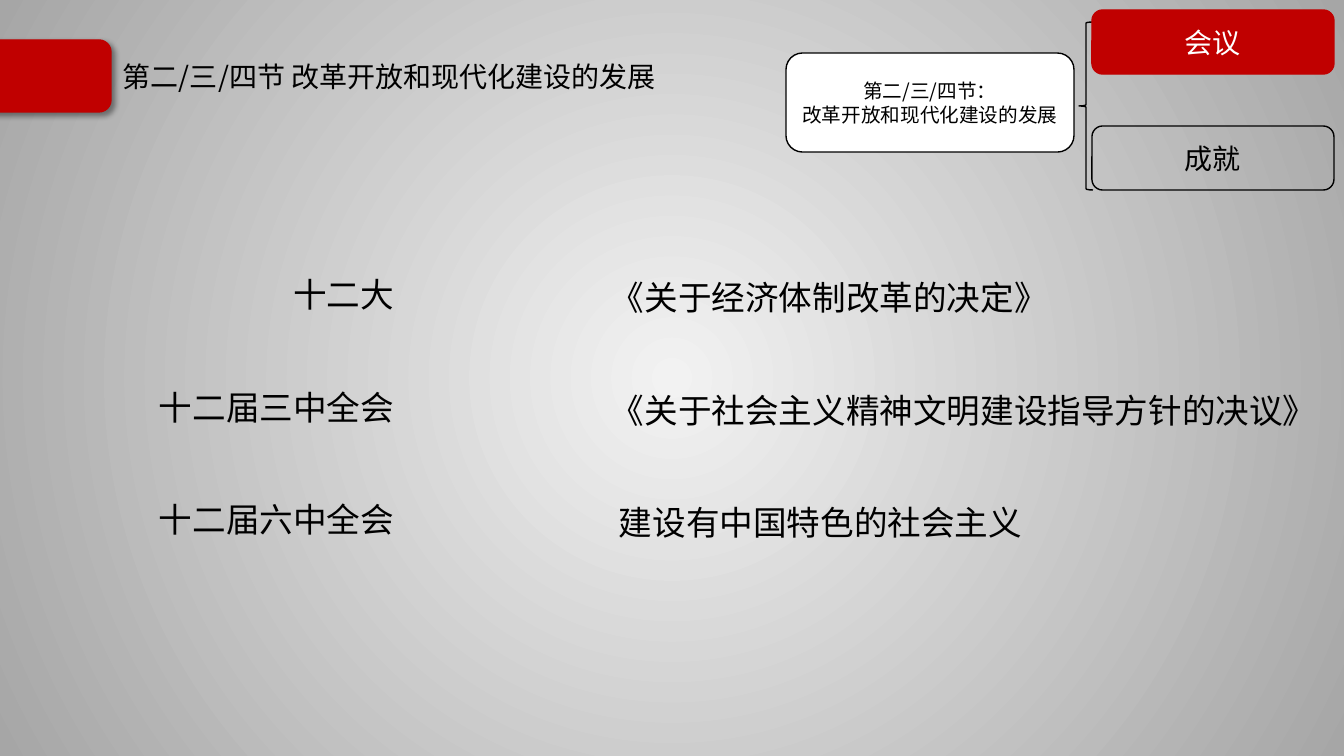
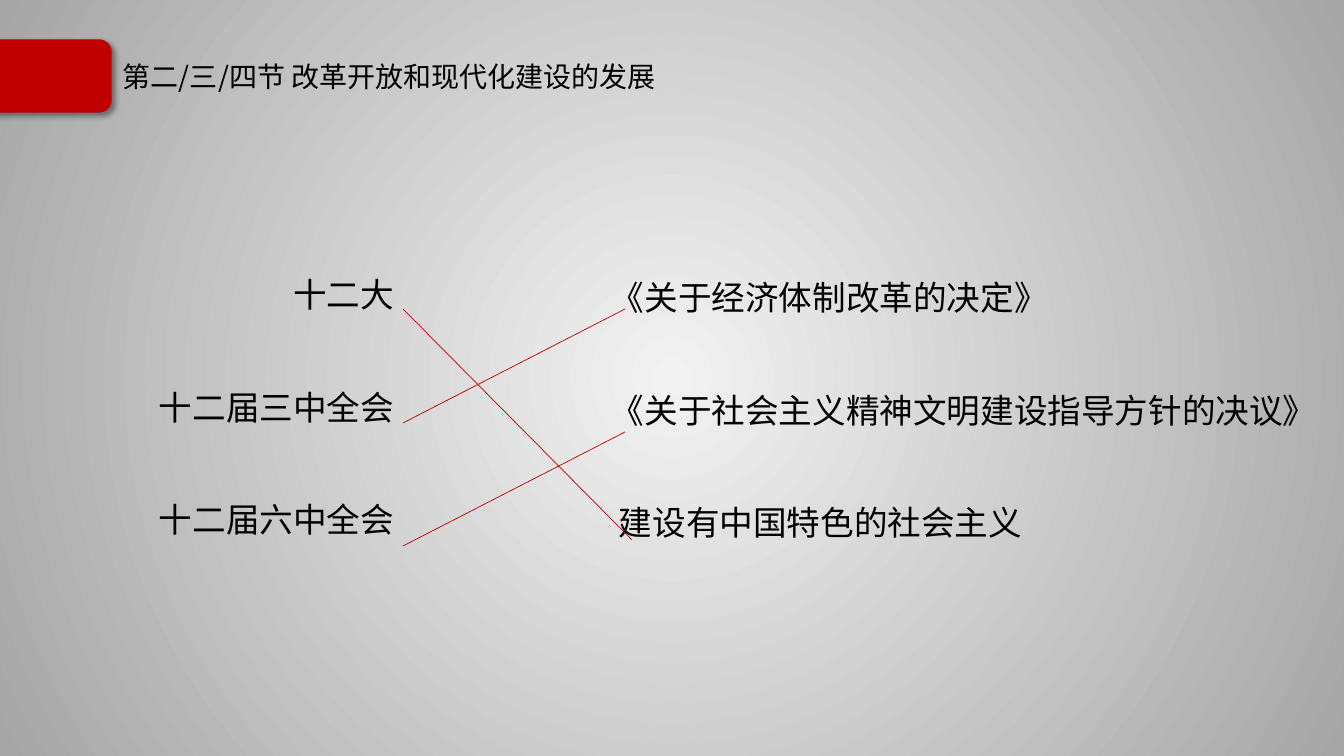
from dataclasses import dataclass

from lxml.etree import SubElement
from pptx import Presentation
from pptx.dml.color import RGBColor
from pptx.enum.shapes import MSO_CONNECTOR, MSO_SHAPE
from pptx.enum.text import MSO_ANCHOR, PP_ALIGN
from pptx.oxml.ns import qn
from pptx.util import Pt

SCALE = 914400 / 100.8  # EMU in one px


@dataclass(frozen=True)
class Theme:
    red: str = "C00000"
    black: str = "000000"
    white: str = "FFFFFF"
    glow: str = "F2F2F2"
    edge: str = "A6A6A6"
    head: str = "Noto Sans CJK JP"
    body: str = "Noto Sans CJK SC"
    small: int = 14
    mid: int = 20
    large: int = 24
    gap: float = 51.6  # points between list rows


T = Theme()
TITLE = "第二/三/四节 改革开放和现代化建设的发展"
# Each row: text, indent in px
EVENTS = [("十二大", 0), ("十二届三中全会", 0), ("十二届六中全会", 0)]
RESULTS = [
    ("《关于经济体制改革的决定》", 0),
    ("《关于社会主义精神文明建设指导方针的决议》", 0),
    ("建设有中国特色的社会主义", 8),
]
LINKS = [
    (403, 309, 632, 540),
    (403, 423, 625, 309),
    (403, 546, 625, 432),
]


def px(n):
    return round(n * SCALE)


def place(*nums):
    return [px(n) for n in nums]


def rgb(code):
    return RGBColor.from_string(code)


def add_run(para, text, size, color=T.black, face=T.body):
    run = para.add_run()
    run.text = text
    font = run.font
    font.size = Pt(size)
    font.color.rgb = rgb(color)
    font.name = face
    SubElement(font._element, qn("a:ea"), typeface=face)


def add_paras(frame, count):
    """Return the first paragraph and as many more as are needed."""
    return [frame.paragraphs[0]] + [frame.add_paragraph() for _ in range(count - 1)]


# Backdrop shared by all slides
def set_back(master):
    fill = master.background.fill
    fill.gradient()
    for stop, code in zip(fill.gradient_stops, (T.glow, T.edge)):
        stop.color.rgb = rgb(code)
    grad = next(master.element.iter(qn("a:gradFill")))
    for line in grad.findall(qn("a:lin")):
        grad.remove(line)
    ring = SubElement(grad, qn("a:path"))
    ring.set("path", "circle")
    SubElement(ring, qn("a:fillToRect"), l="50000", t="50000", r="50000", b="50000")


def add_title(slide, width):
    frame = slide.shapes.add_textbox(*place(113, 49, width, 59)).text_frame
    frame.word_wrap = True
    frame.vertical_anchor = MSO_ANCHOR.MIDDLE
    para = frame.paragraphs[0]
    para.line_spacing = 0.9
    add_run(para, TITLE, T.mid, face=T.head)


def add_list(slide, rows, spot, align):
    frame = slide.shapes.add_textbox(*place(*spot)).text_frame
    frame.word_wrap = True
    for i, (para, (text, indent)) in enumerate(zip(add_paras(frame, len(rows)), rows)):
        para.alignment = align
        if i:
            para.space_before = Pt(T.gap)
        if indent:
            para._p.get_or_add_pPr().set("marL", str(px(indent)))
        add_run(para, text, T.large)


def add_form(slide, kind, spot, fill=None, line=T.black):
    form = slide.shapes.add_shape(kind, *place(*spot))
    form.shadow.inherit = False
    if fill:
        form.fill.solid()
        form.fill.fore_color.rgb = rgb(fill)
    else:
        form.fill.background()
    form.line.color.rgb = rgb(line)
    form.line.width = Pt(1)
    return form


def add_box(slide, spot, lines, size, color=T.black, fill=None, line=T.black):
    box = add_form(slide, MSO_SHAPE.ROUNDED_RECTANGLE, spot, fill, line)
    frame = box.text_frame
    frame.word_wrap = True
    frame.vertical_anchor = MSO_ANCHOR.MIDDLE
    for para, text in zip(add_paras(frame, len(lines)), lines):
        para.alignment = PP_ALIGN.CENTER
        add_run(para, text, size, color)


def add_link(slide, ends):
    link = slide.shapes.add_connector(MSO_CONNECTOR.STRAIGHT, *place(*ends))
    link.line.color.rgb = rgb(T.red)
    link.line.width = Pt(0.5)
    SubElement(link._element.spPr, qn("a:effectLst"))


def add_tab(slide):
    """Red tab at the left edge, with a soft shadow."""
    tab = add_form(slide, MSO_SHAPE.ROUNDED_RECTANGLE, (-18, 40, 129, 72), T.red, T.red)
    effect = tab._element.spPr.find(qn("a:effectLst"))
    shade = SubElement(effect, qn("a:outerShdw"), blurRad=str(Pt(4)), dist=str(Pt(3)),
                       dir="2700000", algn="tl", rotWithShape="0")
    color = SubElement(shade, qn("a:srgbClr"), val=T.black)
    SubElement(color, qn("a:alpha"), val="40000")


def add_tree(slide):
    """Section box, brace and two branches."""
    add_box(slide, (786, 53, 288, 99), ["第二/三/四节：", "改革开放和现代化建设的发展"],
            T.small, fill=T.white)
    add_form(slide, MSO_SHAPE.LEFT_BRACE, (1079, 22, 14, 168))
    add_box(slide, (1092, 10, 242, 64), ["会议"], T.mid, T.white, T.red, T.red)
    add_box(slide, (1092, 126, 242, 64), ["成就"], T.mid)


def add_page(deck, width, links=()):
    slide = deck.slides.add_slide(deck.slide_layouts[6])
    add_title(slide, width)
    add_list(slide, EVENTS, (104, 269, 300, 302), PP_ALIGN.RIGHT)
    add_list(slide, RESULTS, (601, 272, 742, 302), PP_ALIGN.LEFT)
    for ends in links:
        add_link(slide, ends)
    add_tab(slide)
    return slide


def main():
    deck = Presentation()
    deck.slide_width, deck.slide_height = place(1344, 756)
    set_back(deck.slide_master)

    # Question, then answer with links
    add_tree(add_page(deck, 611))
    add_page(deck, 723, LINKS)

    deck.save("out.pptx")


if __name__ == "__main__":
    main()
